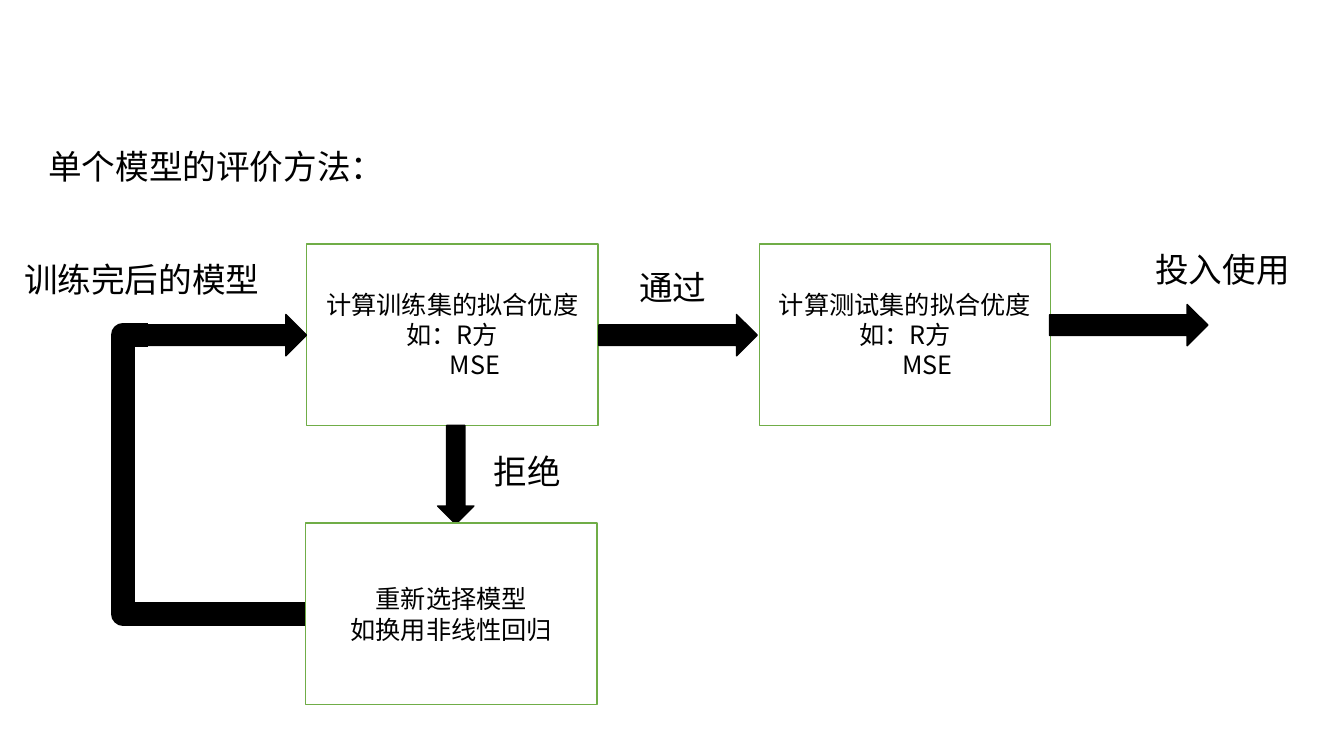
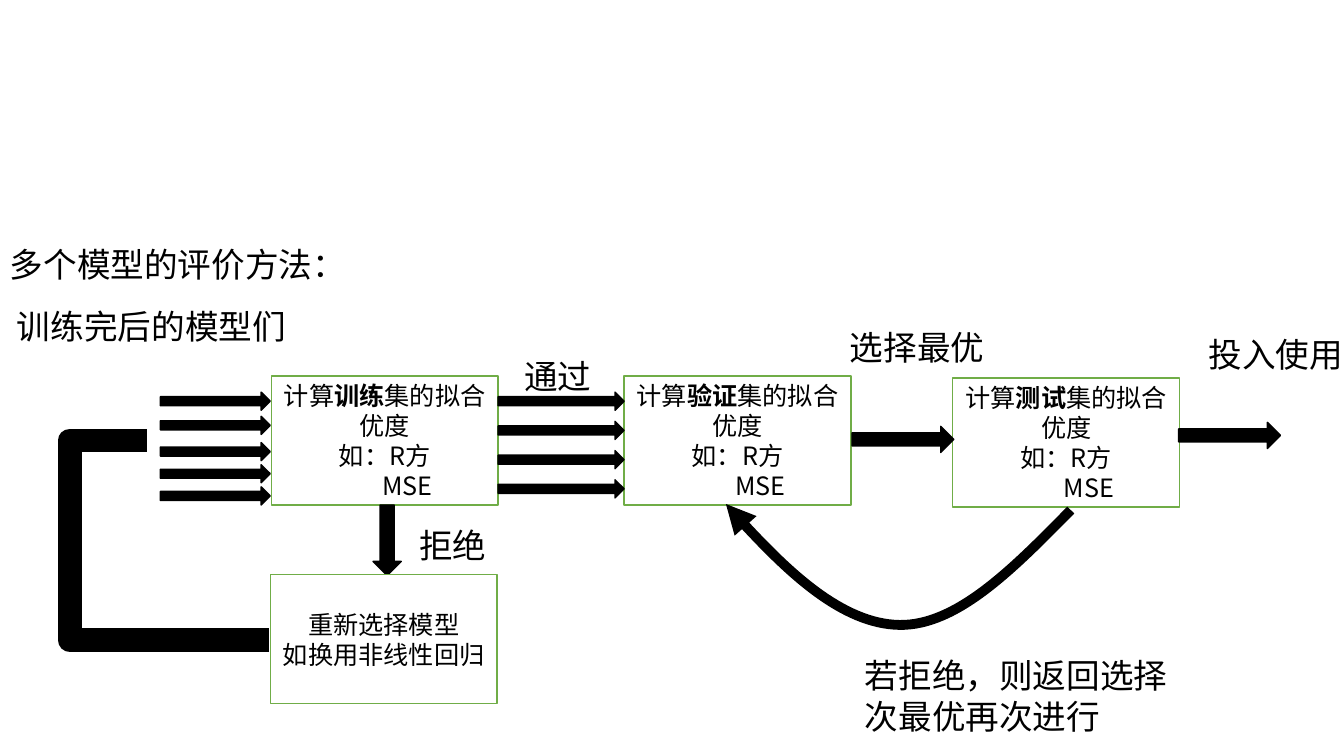
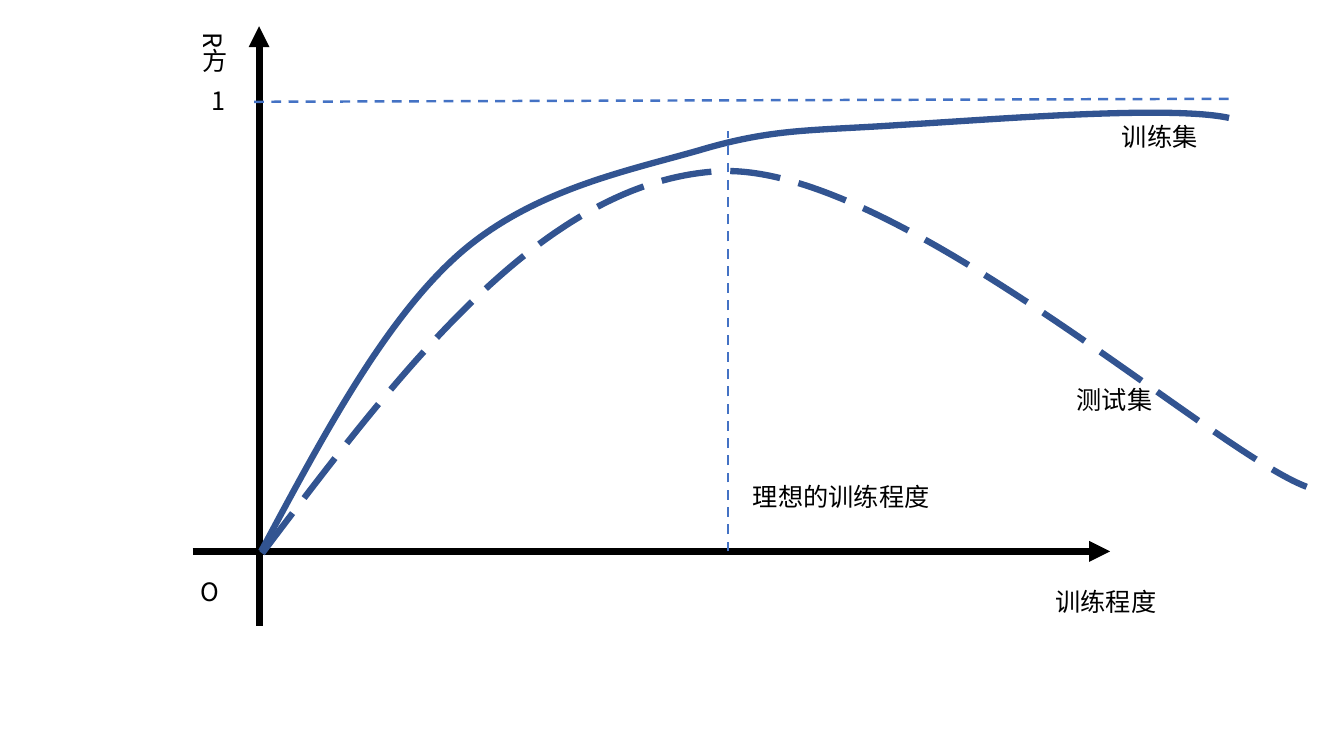
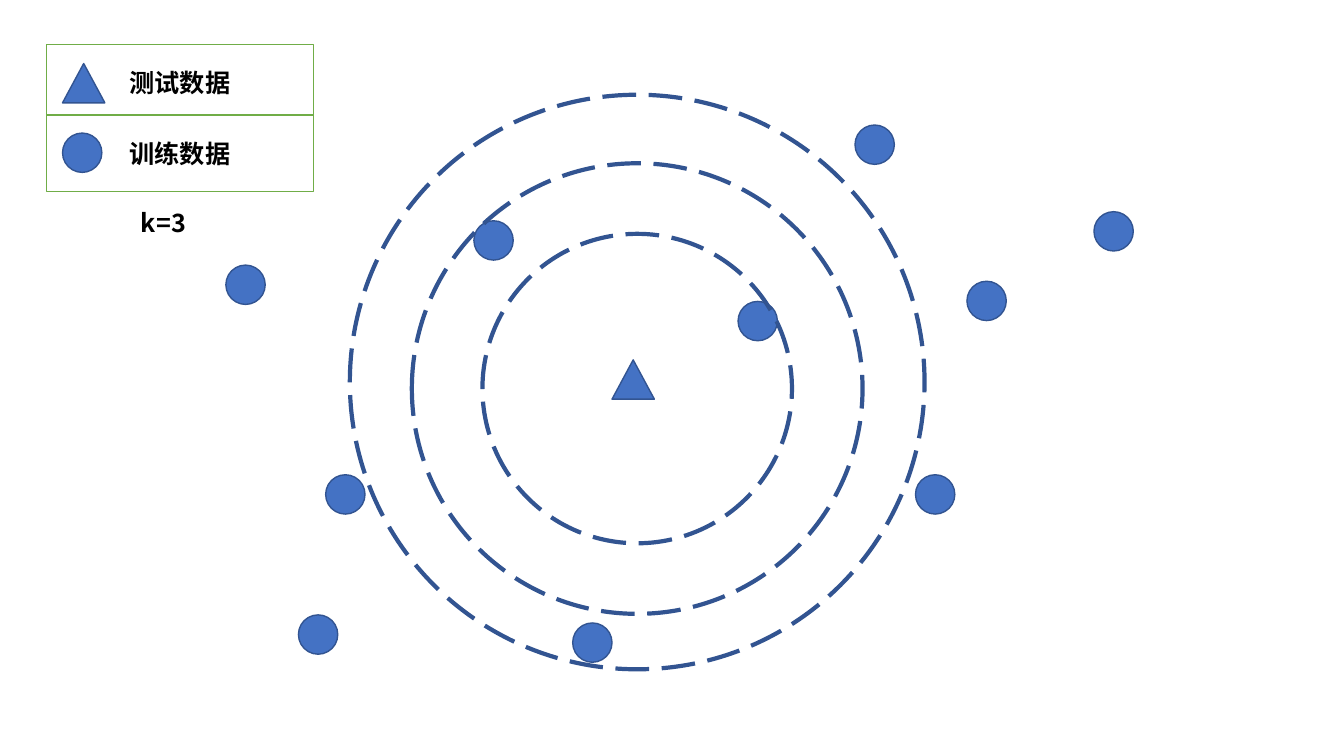
import lxml.etree as etree
import pptx
import pptx.dml.color
import pptx.enum.dml
import pptx.enum.shapes
import pptx.enum.text
import pptx.oxml.ns
import pptx.util

Inches = pptx.util.Inches
Pt = pptx.util.Pt
RGBColor = pptx.dml.color.RGBColor
SHAPE = pptx.enum.shapes.MSO_SHAPE
CONNECTOR = pptx.enum.shapes.MSO_CONNECTOR
DASH = pptx.enum.dml.MSO_LINE
ALIGN = pptx.enum.text.PP_ALIGN
qn = pptx.oxml.ns.qn

BLACK = RGBColor(0x00, 0x00, 0x00)
WHITE = RGBColor(0xFF, 0xFF, 0xFF)
GREEN = RGBColor(0x70, 0xAD, 0x47)
BLUE = RGBColor(0x44, 0x72, 0xC4)
NAVY = RGBColor(0x32, 0x54, 0x91)
FONT = "Noto Sans CJK SC"
BODY, LABEL = 18, 24
MSE_INDENT = 0.45
DOT = 0.39
RESELECT = [[("重新选择模型", False)], [("如换用非线性回归", False)]]


def lengths(*values):
    return [Inches(v) for v in values]


def style_line(line, color, width, dash=None, arrow=False):
    line.color.rgb = color
    for name, value in {"width": Pt(width), "dash_style": dash}.items():
        setattr(line, name, value)
    if arrow:
        ln = line._get_or_add_ln()
        etree.SubElement(ln, qn("a:tailEnd"), type="triangle")


def add_run(p, text, size, bold=False):
    r = p.add_run()
    r.text = text
    r.font.color.rgb = BLACK
    for name, value in {"name": FONT, "size": Pt(size), "bold": bold}.items():
        setattr(r.font, name, value)
    etree.SubElement(r._r.get_or_add_rPr(), qn("a:ea"), typeface=FONT)


def add_shape(s, kind, at, fill, line, width=1, dash=None, rotation=0):
    sp = s.shapes.add_shape(kind, *lengths(*at))
    sp.shadow.inherit = False
    sp.rotation = rotation
    if fill is None:
        sp.fill.background()
    else:
        sp.fill.solid()
        sp.fill.fore_color.rgb = fill
    style_line(sp.line, line, width, dash)
    return sp


def add_label(s, text, at, size=LABEL, bold=False, vertical=False):
    sp = s.shapes.add_textbox(*lengths(*at))
    tf = sp.text_frame
    tf.word_wrap = True
    if vertical:
        tf._txBody.bodyPr.set("vert", "eaVert")
    add_run(tf.paragraphs[0], text, size, bold)


def add_box(s, at, lines):
    """Green-edged box; each line is a list of (text, bold) runs."""
    sp = add_shape(s, SHAPE.RECTANGLE, at, WHITE, GREEN)
    tf = sp.text_frame
    for i, runs in enumerate(lines):
        p = tf.add_paragraph() if i else tf.paragraphs[0]
        p.alignment = ALIGN.CENTER
        for text, bold in runs:
            add_run(p, text, BODY, bold)
    return tf


def add_fit_box(s, at, data_set, bold=False):
    """Box that names the goodness-of-fit measures for one data set."""
    tf = add_box(s, at, [
        [("计算", False), (data_set, bold), ("集的拟合优度", False)],
        [("如：R方", False)],
        [("MSE", False)],
    ])
    tf.paragraphs[-1]._p.get_or_add_pPr().set("marL", str(Inches(MSE_INDENT)))


def add_arrow(s, at, rotation=0):
    add_shape(s, SHAPE.RIGHT_ARROW, at, BLACK, BLACK, rotation=rotation)


def add_connector(s, kind, ends, color, width, dash=None, arrow=False):
    cx = s.shapes.add_connector(kind, *lengths(*ends))
    style_line(cx.line, color, width, dash, arrow)
    etree.SubElement(cx._element.spPr, qn("a:effectLst"))
    return cx


def add_return_line(s, left, top, right, bottom, reach):
    """Thick elbow from bottom right to top left, bulging out to the left."""
    cx = add_connector(s, CONNECTOR.ELBOW, (left, top, right, bottom), BLACK, 17)
    spPr = cx._element.spPr
    spPr.find(qn("a:xfrm")).set("rot", str(180 * 60000))
    geom = spPr.find(qn("a:prstGeom"))
    guides = geom.find(qn("a:avLst"))
    if guides is None:
        guides = etree.SubElement(geom, qn("a:avLst"))
    share = round((right - reach) / (right - left) * 100000)
    etree.SubElement(guides, qn("a:gd"), name="adj1", fmla=f"val {share}")


def add_curve(s, points, color, width, dash=None, arrow=False):
    """Cubic curve: a start point, then two controls and an end per segment."""
    start, *rest = [lengths(*pt) for pt in points]
    builder = s.shapes.build_freeform(*start)
    builder.add_line_segments(rest, close=False)
    sp = builder.convert_to_shape()
    sp.shadow.inherit = False
    sp.fill.background()
    style_line(sp.line, color, width, dash, arrow)
    steps = list(sp._element.spPr.iter(qn("a:lnTo")))
    outline = steps[0].getparent()
    for i in range(0, len(steps), 3):
        cubic = etree.SubElement(outline, qn("a:cubicBezTo"))
        for step in steps[i:i + 3]:
            cubic.append(step[0])
            outline.remove(step)


def add_dot(s, left, top):
    add_shape(s, SHAPE.OVAL, (left, top, DOT, DOT), BLUE, NAVY)


def add_triangle(s, left, top):
    add_shape(s, SHAPE.ISOSCELES_TRIANGLE, (left, top, 0.42, DOT), BLUE, NAVY)


def single_model(s):
    w, h = 2.89, 1.8
    add_fit_box(s, (3.04, 2.42, w, h), "训练")
    add_fit_box(s, (7.53, 2.42, w, h), "测试")
    for left, top in ((1.47, 3.12), (5.94, 3.12), (10.41, 3.02)):
        add_arrow(s, (left, top, 1.57, 0.41))
    add_arrow(s, (4.03, 4.53, 0.98, 0.36), rotation=90)
    add_box(s, (3.03, 5.19, w, h), RESELECT)
    add_return_line(s, 1.47, 3.32, 3.03, 6.09, reach=1.22)
    for text, left, top, width in (
        ("单个模型的评价方法：", 0.38, 1.4, 3.76),
        ("训练完后的模型", 0.14, 2.52, 2.89),
        ("通过", 6.24, 2.6, 1.2),
        ("投入使用", 11.36, 2.42, 1.9),
        ("拒绝", 4.8, 4.42, 1.2),
    ):
        add_label(s, text, (left, top, width, 0.5))


def several_models(s):
    w, h = 2.25, 1.28
    for left, top, data_set in (
        (2.69, 3.73, "训练"), (6.19, 3.73, "验证"), (9.45, 3.75, "测试"),
    ):
        add_fit_box(s, (left, top, w, h), data_set, bold=True)
    for top in (3.89, 4.13, 4.39, 4.61, 4.83):
        add_arrow(s, (1.59, top, 1.09, 0.18))
    for i in range(4):
        add_arrow(s, (4.94, 3.89 + 0.29 * i, 1.25, 0.18))
    for left, top in ((8.45, 4.23), (11.69, 4.19)):
        add_arrow(s, (left, top, 1.01, 0.26))
    add_arrow(s, (3.49, 5.22, 0.7, 0.28), rotation=90)
    add_box(s, (2.68, 5.7, w, h), RESELECT)
    add_return_line(s, 1.46, 4.37, 2.67, 6.35, reach=0.69)
    add_curve(s, [(10.62, 5.06), (10.05, 5.64), (9.49, 6.21), (8.92, 6.2),
                  (8.35, 6.19), (7.64, 5.51), (7.2, 5)], BLACK, 7, arrow=True)
    for text, left, top, width, height in (
        ("多个模型的评价方法：", 0, 2.37, 3.76, 0.5),
        ("训练完后的模型们", 0.07, 2.99, 2.89, 0.5),
        ("通过", 5.1, 3.48, 1.2, 0.5),
        ("拒绝", 4.06, 5.16, 1.2, 0.5),
        ("选择最优", 8.33, 3.19, 2.25, 0.5),
        ("投入使用", 11.89, 3.26, 1.6, 0.5),
        ("若拒绝，则返回选择次最优再次进行", 8.48, 6.45, 3.42, 0.91),
    ):
        add_label(s, text, (left, top, width, height))


def training_curves(s):
    for axis in ((1.91, 5.47, 11.01, 5.47), (2.57, 6.21, 2.57, 0.26)):
        add_connector(s, CONNECTOR.STRAIGHT, axis, BLACK, 5, arrow=True)
    training = [(2.59, 5.47), (3.19, 4.35), (3.79, 3.22), (4.51, 2.56),
                (5.24, 1.89), (6.21, 1.7), (6.94, 1.49),
                (7.68, 1.27), (8.05, 1.3), (8.93, 1.24),
                (9.8, 1.19), (11.59, 1.04), (12.19, 1.17)]
    testing = [(2.6, 5.49), (3.99, 3.65), (5.39, 1.81), (7.11, 1.7),
               (8.84, 1.59), (11.99, 4.46), (12.96, 4.83)]
    add_curve(s, training, NAVY, 4.5)
    add_curve(s, testing, NAVY, 4.5, DASH.LONG_DASH)
    for guide in ((2.52, 1.01, 12.25, 0.98), (7.22, 5.47, 7.22, 1.3)):
        add_connector(s, CONNECTOR.STRAIGHT, guide, BLUE, 1.75, DASH.DASH)
    add_label(s, "R方", (1.82, 0.22, 0.5, 1.21), BODY, vertical=True)
    for text, left, top, width in (
        ("O", 1.89, 5.67, 0.56),
        ("1", 2, 0.8, 0.81),
        ("训练程度", 10.37, 5.77, 1.5),
        ("理想的训练程度", 7.37, 4.73, 2.34),
        ("训练集", 11.03, 1.15, 2.2),
        ("测试集", 10.58, 3.76, 2.34),
    ):
        add_label(s, text, (left, top, width, 0.4), BODY)


def nearest_neighbours(s):
    for left, top in (
        (9.59, 2.79), (8.48, 1.24), (7.32, 2.99), (3.23, 4.71), (4.7, 2.19),
        (2.24, 2.63), (5.68, 6.18), (9.08, 4.71), (2.96, 6.1), (10.85, 2.1),
    ):
        add_dot(s, left, top)
    add_triangle(s, 6.07, 3.57)
    for text, top in (("测试数据", 0.44), ("训练数据", 1.14)):
        add_box(s, (0.46, top, 2.65, 0.76), [[(text, True)]])
    add_triangle(s, 0.62, 0.63)
    add_dot(s, 0.62, 1.32)
    for size, top in ((3.07, 2.32), (4.47, 1.62), (5.7, 0.94)):
        add_shape(s, SHAPE.OVAL, (6.32 - size / 2, top, size, size),
                  None, NAVY, 3, DASH.LONG_DASH)
    add_label(s, "k=3", (1.3, 2.01, 1.42, 0.4), BODY, bold=True)


def main():
    prs = pptx.Presentation()
    prs.slide_width, prs.slide_height = lengths(13.33, 7.5)
    blank = prs.slide_layouts[6]
    for build in (single_model, several_models, training_curves, nearest_neighbours):
        build(prs.slides.add_slide(blank))
    prs.save("out.pptx")


if __name__ == "__main__":
    main()
